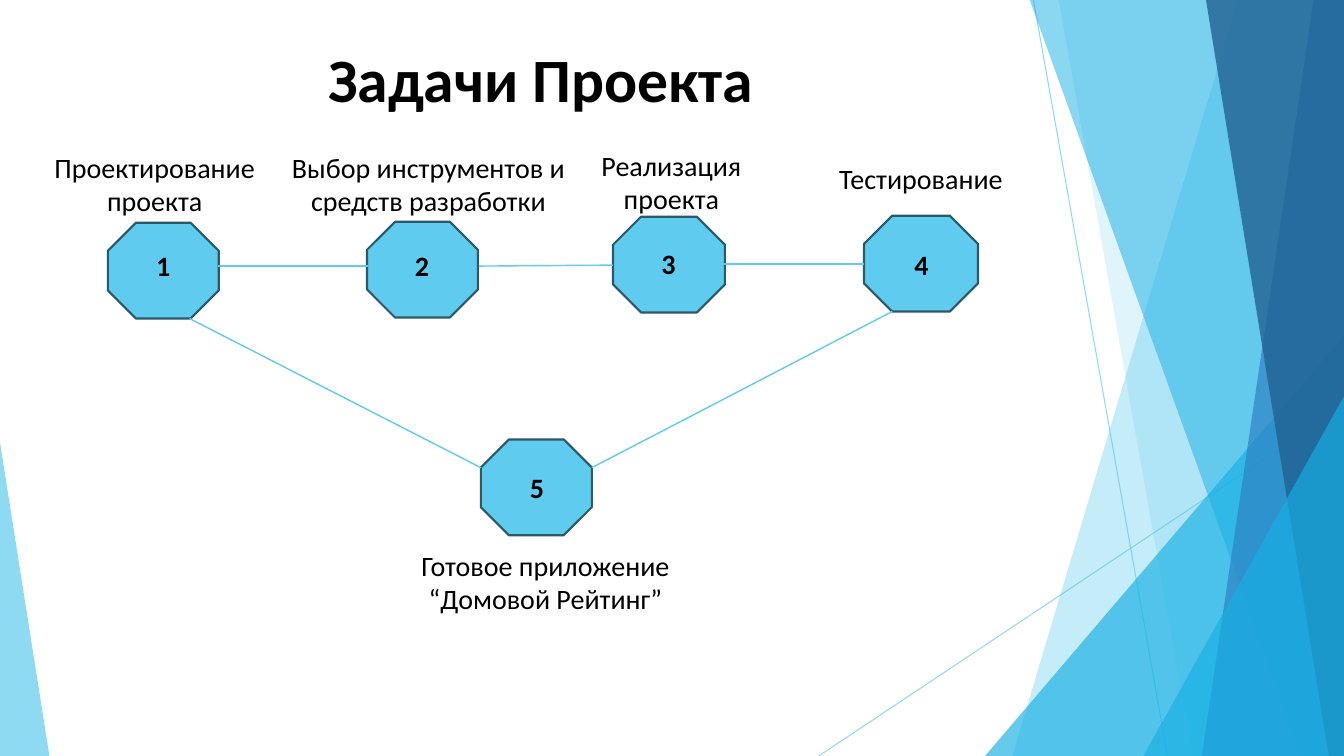
from dataclasses import dataclass

from lxml import etree
from pptx import Presentation
from pptx.dml.color import RGBColor
from pptx.enum.shapes import MSO_CONNECTOR, MSO_SHAPE
from pptx.enum.text import MSO_ANCHOR, PP_ALIGN
from pptx.oxml.ns import qn
from pptx.util import Inches, Pt

STRAIGHT = MSO_CONNECTOR.STRAIGHT
OCTAGON = MSO_SHAPE.OCTAGON
TRIANGLE = MSO_SHAPE.ISOSCELES_TRIANGLE
CENTER = PP_ALIGN.CENTER
TOP, MIDDLE = MSO_ANCHOR.TOP, MSO_ANCHOR.MIDDLE


@dataclass(frozen=True)
class Theme:
    font: str = "Calibri"
    title_size: int = 44
    body_size: int = 20
    black: str = "000000"
    sky: str = "5FCBEF"
    cyan: str = "17B0E4"
    blue: str = "2E83C3"
    navy: str = "226292"
    outline: str = "2A5969"
    outline_width: float = 1.5
    link_width: float = 1
    ray_width: float = 0.75


@dataclass(frozen=True)
class Area:
    left: float
    top: float
    width: float
    height: float


@dataclass(frozen=True)
class Line:
    start: tuple[float, float]
    end: tuple[float, float]


@dataclass(frozen=True)
class Band:
    points: tuple[tuple[float, float], ...]
    color: str
    opacity: int


@dataclass(frozen=True)
class Wedge:
    area: Area
    apex: float
    color: str
    opacity: int


@dataclass(frozen=True)
class Stage:
    octagon: Area
    number: str
    number_area: Area
    label: str
    label_area: Area


THEME = Theme()
WIDTH, HEIGHT, EDGE = 13.33, 7.5, -0.01


def right_band(top_x: float, bottom_x: float, color: str, opacity: int) -> Band:
    corners = ((top_x, EDGE), (WIDTH, EDGE), (WIDTH, HEIGHT), (bottom_x, HEIGHT))
    return Band(corners, color, opacity)


RAYS = (
    Line((10.25, 0), (11.58, HEIGHT)),
    Line((WIDTH, 4.03), (8.12, HEIGHT)),
)
FACETS = (
    right_band(12.28, 10.04, THEME.sky, 36),
    right_band(10.5, 11.83, THEME.sky, 20),
    Wedge(Area(9.77, 3.33, 3.56, 4.17), 1, THEME.cyan, 66),
    right_band(10.21, 12.91, THEME.cyan, 50),
    right_band(13.03, 11.92, THEME.blue, 70),
    right_band(11.96, 13.18, THEME.navy, 80),
    Wedge(Area(11.34, 3.93, 1.99, 3.57), 1, THEME.cyan, 66),
    Wedge(Area(0, 4.39, 0.49, 3.11), 0, THEME.sky, 70),
)
STAGES = (
    Stage(Area(1.07, 2.21, 1.1, 0.95), "1", Area(1.37, 2.42, 0.5, 0.44),
          "Проектирование\nпроекта", Area(0.42, 1.44, 2.23, 0.77)),
    Stage(Area(3.64, 2.2, 1.1, 0.95), "2", Area(3.93, 2.42, 0.51, 0.44),
          "Выбор инструментов и средств разработки", Area(2.65, 1.44, 3.2, 0.77)),
    Stage(Area(6.08, 2.15, 1.11, 0.95), "3", Area(6.45, 2.4, 0.36, 0.44),
          "Реализация проекта", Area(5.81, 1.42, 1.7, 0.77)),
    Stage(Area(8.57, 2.14, 1.13, 0.95), "4", Area(8.97, 2.41, 0.32, 0.44),
          "Тестирование", Area(8.15, 1.55, 1.97, 0.44)),
    Stage(Area(4.77, 4.36, 1.1, 0.95), "5", Area(5.1, 4.62, 0.45, 0.44),
          "Готовое приложение\n“Домовой Рейтинг”", Area(3.92, 5.39, 2.98, 0.77)),
)
LINKS = (
    Line((2.16, 2.64), (3.65, 2.64)),
    Line((4.75, 2.64), (6.08, 2.63)),
    Line((7.06, 2.62), (8.57, 2.62)),
    Line((1.88, 3.16), (4.77, 4.64)),
    Line((8.85, 3.09), (5.87, 4.64)),
)


def place(area: Area) -> tuple:
    return Inches(area.left), Inches(area.top), Inches(area.width), Inches(area.height)


def set_opacity(fill_parent, percent: int) -> None:
    color = fill_parent.find(".//" + qn("a:srgbClr"))
    etree.SubElement(color, qn("a:alpha")).set("val", str(percent * 1000))


def paint(shape, color: str) -> None:
    shape.shadow.inherit = False
    shape.fill.solid()
    shape.fill.fore_color.rgb = RGBColor.from_string(color)


def draw_line(page, line: Line, width: float, opacity: int = 100) -> None:
    ends = [Inches(value) for value in line.start + line.end]
    connector = page.shapes.add_connector(STRAIGHT, *ends)
    connector.line.color.rgb = RGBColor.from_string(THEME.sky)
    connector.line.width = Pt(width)
    properties = connector.element.spPr
    if opacity < 100:
        set_opacity(properties, opacity)
    etree.SubElement(properties, qn("a:effectLst"))


def draw_facet(page, facet: Band | Wedge) -> None:
    if isinstance(facet, Band):
        first, *rest = [(Inches(x), Inches(y)) for x, y in facet.points]
        builder = page.shapes.build_freeform(*first)
        builder.add_line_segments(rest, close=True)
        shape = builder.convert_to_shape()
    else:
        shape = page.shapes.add_shape(TRIANGLE, *place(facet.area))
        shape.adjustments[0] = facet.apex
    paint(shape, facet.color)
    set_opacity(shape.element.spPr, facet.opacity)
    shape.line.fill.background()


def draw_text(page, area: Area, text: str, size: int = THEME.body_size,
              bold: bool = False, anchor: MSO_ANCHOR = TOP) -> None:
    frame = page.shapes.add_textbox(*place(area)).text_frame
    frame.word_wrap = True
    frame.vertical_anchor = anchor
    para = frame.paragraphs[0]
    para.alignment = CENTER
    for index, words in enumerate(text.split("\n")):
        if index:
            para.add_line_break()
        span = para.add_run()
        span.text = words
        span.font.name = THEME.font
        span.font.size = Pt(size)
        span.font.bold = bold
        span.font.color.rgb = RGBColor.from_string(THEME.black)


def draw_stage(page, stage: Stage) -> None:
    octagon = page.shapes.add_shape(OCTAGON, *place(stage.octagon))
    paint(octagon, THEME.sky)
    octagon.line.color.rgb = RGBColor.from_string(THEME.outline)
    octagon.line.width = Pt(THEME.outline_width)
    draw_text(page, stage.number_area, stage.number, bold=True)
    draw_text(page, stage.label_area, stage.label)


def main() -> None:
    deck = Presentation()
    deck.slide_width, deck.slide_height = Inches(WIDTH), Inches(HEIGHT)
    page = deck.slides.add_slide(deck.slide_layouts[6])
    for ray in RAYS:
        draw_line(page, ray, THEME.ray_width, 70)
    for facet in FACETS:
        draw_facet(page, facet)
    draw_text(page, Area(2.79, 0.3, 5.29, 0.95), "Задачи Проекта ",
              THEME.title_size, True, MIDDLE)
    for stage in STAGES:
        draw_stage(page, stage)
    for link in LINKS:
        draw_line(page, link, THEME.link_width)
    deck.save("out.pptx")


if __name__ == "__main__":
    main()
